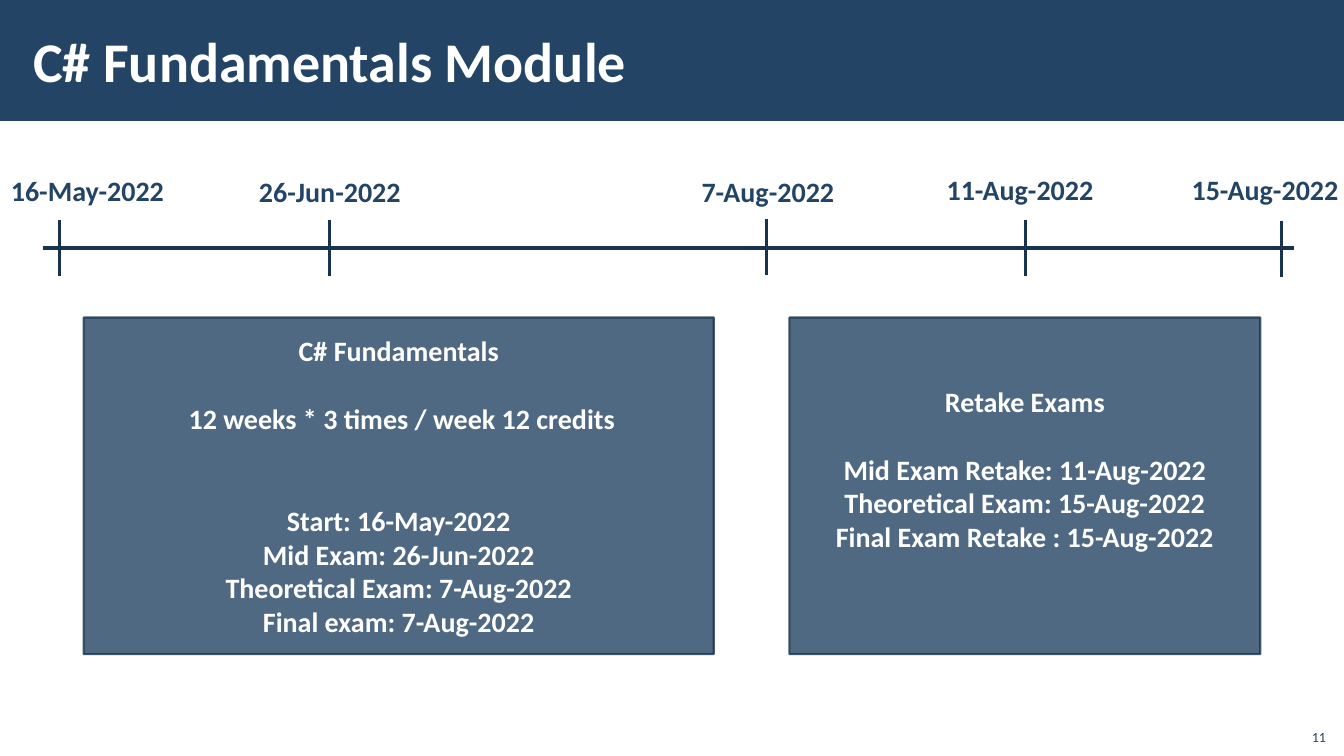
from lxml import etree
from pptx import Presentation
from pptx.dml.color import RGBColor
from pptx.enum import shapes, text
from pptx.oxml.ns import qn
from pptx.util import Inches, Pt

COLORS = {"navy": "234465", "line": "1A334C", "white": "FFFFFF"}
FONT = "Calibri"
WIDTH, HEIGHT = 13.33, 7.5
LINE = 24.4  # height of one 20 pt line, in points

# Date, tick centre, tick top, label left, label top, label width
MILESTONES = [
    ("16-May-2022", 0.59, 2.18, 0.01, 1.67, 1.74),
    ("26-Jun-2022", 3.27, 2.18, 2.47, 1.68, 1.62),
    ("7-Aug-2022", 7.6, 2.17, 6.86, 1.68, 1.7),
    ("11-Aug-2022", 10.17, 2.18, 9.29, 1.66, 1.7),
    ("15-Aug-2022", 12.71, 2.19, 11.72, 1.66, 1.68),
]

# Each line with the number of line heights left free above it
COURSE = [
    ("C# Fundamentals", 0),
    (" 12 weeks * 3 times / week 12 credits", 1),
    ("Start: 16-May-2022", 2),
    ("Mid Exam: 26-Jun-2022", 0),
    ("Theoretical Exam: 7-Aug-2022", 0),
    ("Final exam: 7-Aug-2022", 0),
]
RETAKES = [
    ("Retake Exams", 0),
    ("Mid Exam Retake: 11-Aug-2022", 1),
    ("Тheoretical Exam: 15-Aug-2022", 0),
    ("Final Exam Retake : 15-Aug-2022", 0),
]


def rgb(name):
    return RGBColor.from_string(COLORS[name])


def inches(box):
    return [Inches(length) for length in box]


def add_run(paragraph, words, size, color, bold=True):
    run = paragraph.add_run()
    run.text = words
    run.font.name = FONT
    run.font.size = Pt(size)
    run.font.bold = bold
    run.font.color.rgb = rgb(color)


def add_box(slide, box, fill):
    shape = slide.shapes.add_shape(shapes.MSO_SHAPE.RECTANGLE, *inches(box))
    shape.shadow.inherit = False
    shape.fill.solid()
    shape.fill.fore_color.rgb = rgb(fill)
    shape.line.fill.background()
    return shape


def add_line(slide, start, end):
    line = slide.shapes.add_connector(
        shapes.MSO_CONNECTOR.STRAIGHT, *inches(start + end))
    line.line.color.rgb = rgb("line")
    line.line.width = Pt(2.25)
    etree.SubElement(line._element.spPr, qn("a:effectLst"))


def add_label(slide, box, words, size=20, bold=True, wrap=False):
    label = slide.shapes.add_textbox(*inches(box))
    label.text_frame.word_wrap = wrap
    add_run(label.text_frame.paragraphs[0], words, size, "navy", bold)
    return label


def add_header(slide, box, words):
    left, top, width, height = box
    band = add_box(slide, box, "navy")
    slide.shapes._spTree.insert(2, band._element)  # behind the title
    title = slide.shapes.title
    title.left, title.top, title.width, title.height = inches(
        (left + 0.21, top + 0.11, width * 0.8, height - 0.23))
    frame = title.text_frame
    frame.auto_size = text.MSO_AUTO_SIZE.NONE
    frame.vertical_anchor = text.MSO_ANCHOR.MIDDLE
    frame.margin_left = frame.margin_right = Inches(0.12)
    frame.margin_top = frame.margin_bottom = Inches(0.04)
    frame.paragraphs[0].alignment = text.PP_ALIGN.LEFT
    add_run(frame.paragraphs[0], words, 40, "white")


def add_timeline(slide, box):
    left, top, width, tick_height = box
    middle = top + tick_height / 2
    add_line(slide, (left, middle), (left + width, middle))
    for date, tick, tick_top, label_left, label_top, label_width in MILESTONES:
        add_line(slide, (tick, tick_top), (tick, tick_top + tick_height))
        add_label(slide, (label_left, label_top, label_width, 0.44), date)


def add_card(slide, box, lines, lines_below=0):
    card = add_box(slide, box, "navy")
    card.line.color.rgb = rgb("line")
    card.line.width = Pt(1.5)
    # Fill and outline at 80 % opacity
    for color in card._element.spPr.iter(qn("a:srgbClr")):
        etree.SubElement(color, qn("a:alpha"), val="80000")
    frame = card.text_frame
    frame.word_wrap = True
    frame.vertical_anchor = text.MSO_ANCHOR.MIDDLE
    frame.margin_bottom = Inches(0.05) + Pt(lines_below * LINE)
    for index, (words, lines_above) in enumerate(lines):
        paragraph = frame.add_paragraph() if index else frame.paragraphs[0]
        paragraph.alignment = text.PP_ALIGN.CENTER
        if lines_above:
            paragraph.space_before = Pt(lines_above * LINE)
        add_run(paragraph, words, 20, "white")


def add_page_number(slide, box, number):
    label = add_label(slide, box, number, size=10, bold=False, wrap=True)
    label.text_frame.vertical_anchor = text.MSO_ANCHOR.BOTTOM
    label.text_frame.paragraphs[0].alignment = text.PP_ALIGN.RIGHT


def main():
    presentation = Presentation()
    presentation.slide_width, presentation.slide_height = inches((WIDTH, HEIGHT))
    slide = presentation.slides.add_slide(presentation.slide_layouts[5])
    add_header(slide, (0, 0, WIDTH, 1.2), "C# Fundamentals Module")
    add_timeline(slide, (0.43, 2.18, 12.4, 0.56))
    add_card(slide, (0.83, 3.15, 6.25, 3.34), COURSE)
    add_card(slide, (7.83, 3.15, 4.67, 3.34), RETAKES, lines_below=1)
    add_page_number(slide, (12.85, 7.12, 0.4, 0.32), "11")
    presentation.save("out.pptx")


if __name__ == "__main__":
    main()
